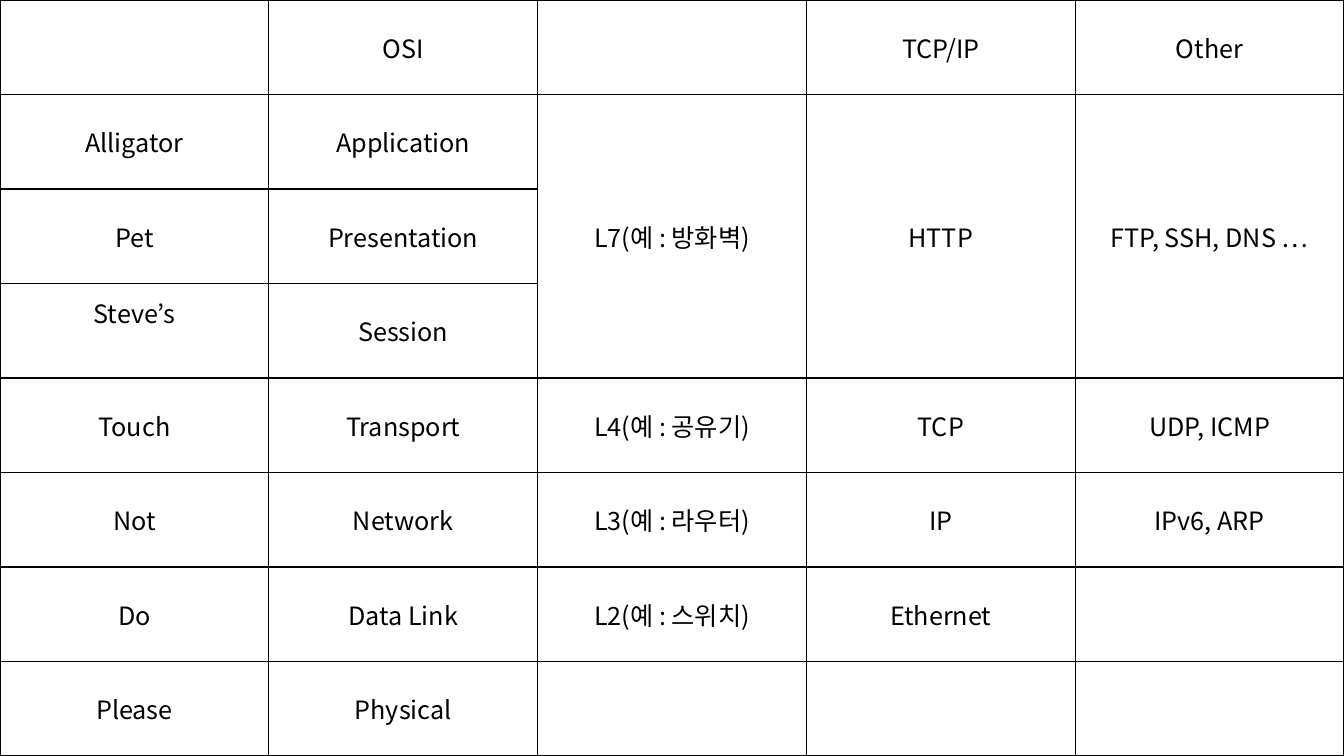
from dataclasses import dataclass

from lxml.etree import SubElement
from pptx import Presentation
from pptx.dml.color import RGBColor
from pptx.enum.text import MSO_ANCHOR, PP_ALIGN
from pptx.oxml.ns import qn
from pptx.table import Table, _Cell
from pptx.util import Cm, Pt

SLIDE_WIDTH, SLIDE_HEIGHT = Cm(33.87), Cm(19.05)
FONT = "Noto Sans CJK KR"
COLORS = {"text": "000000", "border": "000000"}
BORDER_WIDTH = Pt(1)


@dataclass
class Layer:
    mnemonic: str = ""
    osi: str = ""
    device: str = ""
    tcp_ip: str = ""
    other: str = ""

    def texts(self) -> list[str]:
        return [self.mnemonic, self.osi, self.device, self.tcp_ip, self.other]


LAYERS = [
    Layer(osi="OSI", tcp_ip="TCP/IP", other="Other"),
    Layer("Alligator", "Application", "L7(예 : 방화벽)", "HTTP", "FTP, SSH, DNS …"),
    Layer("Pet", "Presentation"),
    Layer("Steve’s", "Session"),
    Layer("Touch", "Transport", "L4(예 : 공유기)", "TCP", "UDP, ICMP"),
    Layer("Not", "Network", "L3(예 : 라우터)", "IP", "IPv6, ARP"),
    Layer("Do", "Data Link", "L2(예 : 스위치)", "Ethernet"),
    Layer("Please", "Physical"),
]
APPLICATION_ROW, SESSION_ROW = 1, 3
MERGED_COLUMNS = (2, 3, 4)


def draw_borders(cell: _Cell) -> None:
    properties = cell._tc.get_or_add_tcPr()
    for side in ("a:lnL", "a:lnR", "a:lnT", "a:lnB"):
        line = SubElement(properties, qn(side), w=str(BORDER_WIDTH))
        fill = SubElement(line, qn("a:solidFill"))
        SubElement(fill, qn("a:srgbClr"), val=COLORS["border"])


def write_text(cell: _Cell, text: str) -> None:
    paragraph = cell.text_frame.paragraphs[0]
    paragraph.alignment = PP_ALIGN.CENTER
    run = paragraph.add_run()
    run.text = text
    run.font.size = Pt(18)
    run.font.name = FONT
    run.font.color.rgb = RGBColor.from_string(COLORS["text"])
    SubElement(run.font._element, qn("a:ea"), typeface=FONT)


def fill_table(layers: Table) -> None:
    for column in layers.columns:
        column.width = SLIDE_WIDTH // len(layers.columns)
    for row, layer in zip(layers.rows, LAYERS):
        row.height = SLIDE_HEIGHT // len(LAYERS)
        for cell, text in zip(row.cells, layer.texts()):
            draw_borders(cell)
            cell.fill.background()
            cell.vertical_anchor = MSO_ANCHOR.MIDDLE
            if text:
                write_text(cell, text)
    for column in MERGED_COLUMNS:
        layers.cell(APPLICATION_ROW, column).merge(layers.cell(SESSION_ROW, column))
    # "Steve’s" sits above the middle of its row
    layers.cell(SESSION_ROW, 0).margin_bottom = Cm(1.04)


def main() -> None:
    presentation = Presentation()
    presentation.slide_width, presentation.slide_height = SLIDE_WIDTH, SLIDE_HEIGHT
    slide = presentation.slides.add_slide(presentation.slide_layouts[6])
    layers = slide.shapes.add_table(
        len(LAYERS), len(LAYERS[0].texts()), 0, 0, SLIDE_WIDTH, SLIDE_HEIGHT
    ).table
    layers.first_row = False
    layers.horz_banding = False
    fill_table(layers)
    presentation.save("out.pptx")


if __name__ == "__main__":
    main()
